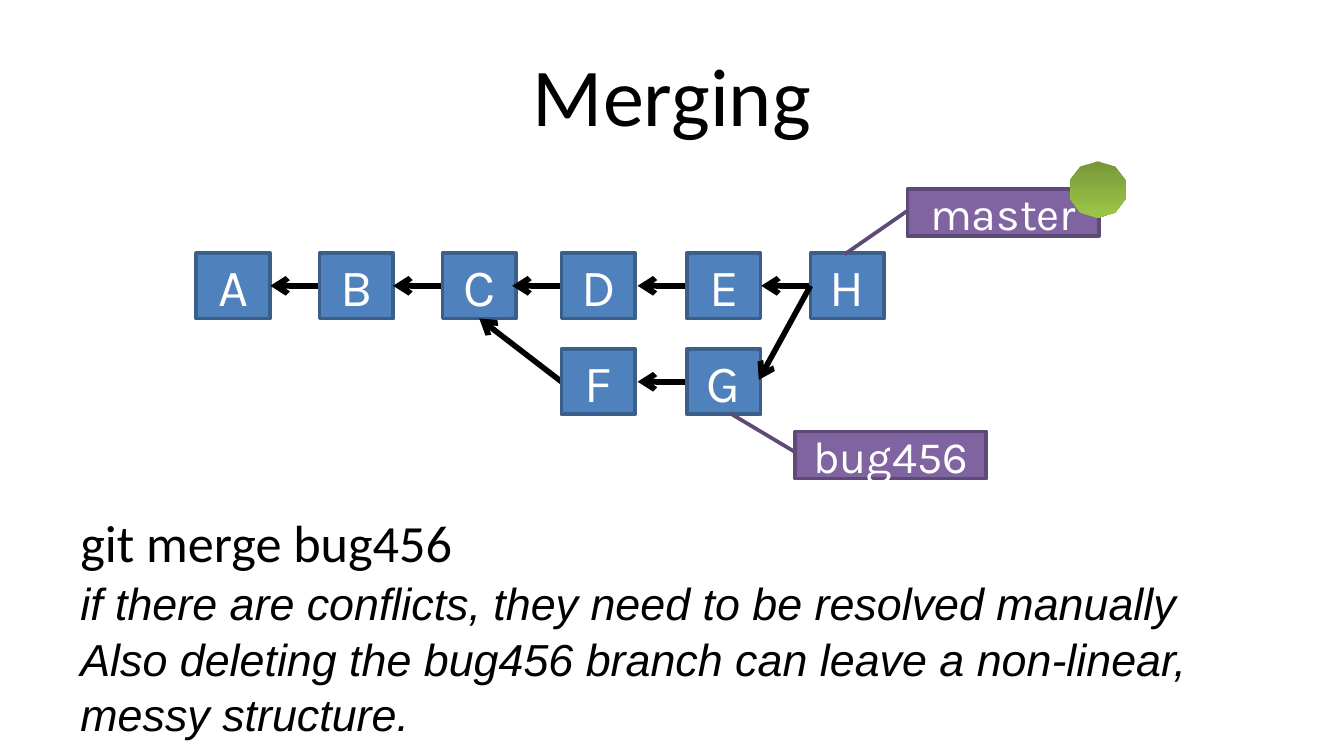
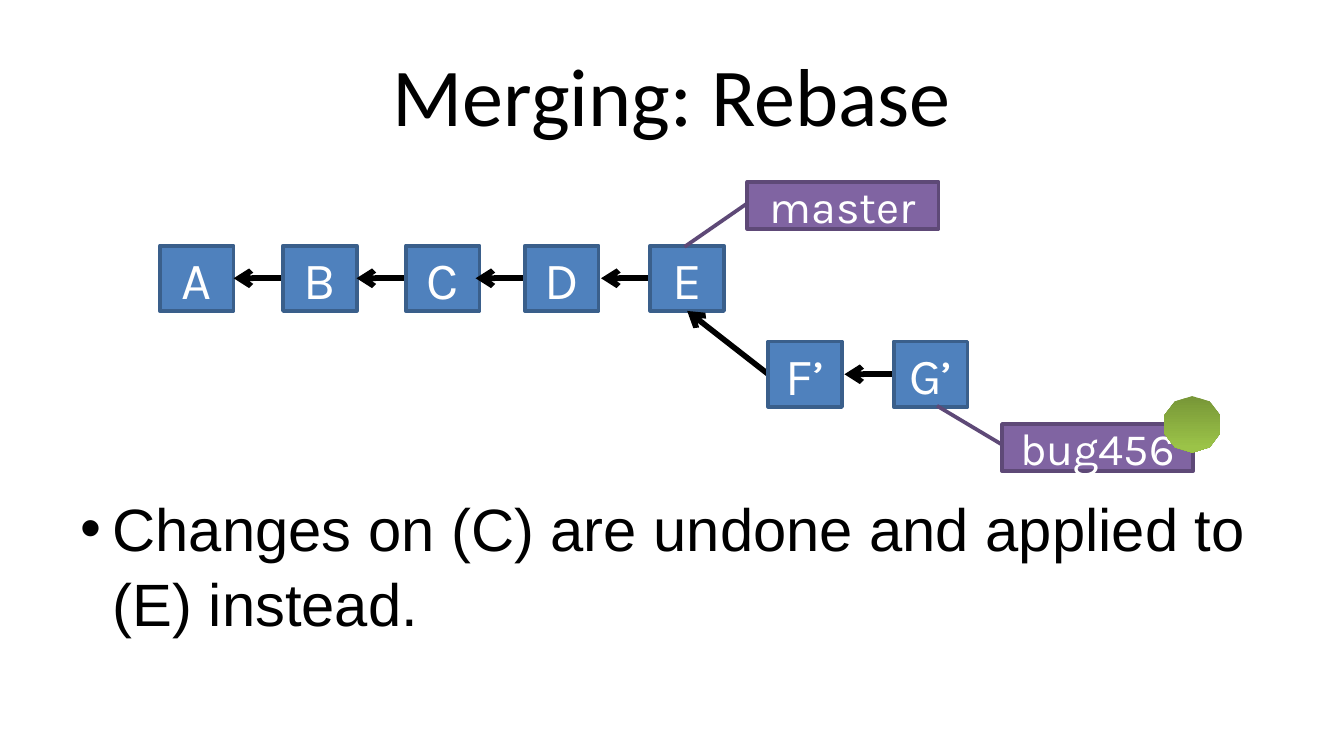
import pptx
import pptx.dml.color
import pptx.enum.dml
import pptx.enum.shapes
import pptx.enum.text
import pptx.oxml
import pptx.oxml.ns
import pptx.util
from lxml import etree

Pt = pptx.util.Pt
RGBColor = pptx.dml.color.RGBColor
SHAPE = pptx.enum.shapes.MSO_SHAPE
ALIGN = pptx.enum.text.PP_ALIGN
ANCHOR = pptx.enum.text.MSO_ANCHOR
qn = pptx.oxml.ns.qn

BLACK = RGBColor(0x00, 0x00, 0x00)
WHITE = RGBColor(0xFF, 0xFF, 0xFF)
BLUE = RGBColor(0x4F, 0x81, 0xBD)
BLUE_EDGE = RGBColor(0x3A, 0x5F, 0x8B)
PURPLE = RGBColor(0x80, 0x64, 0xA2)
PURPLE_EDGE = RGBColor(0x5E, 0x49, 0x77)
GREEN_DARK = RGBColor(0x77, 0x96, 0x37)
GREEN_LIGHT = RGBColor(0x9B, 0xC3, 0x48)

BOX_W, BOX_H = 39.5, 35
ARROW_LEN = 26.4
BRANCH_DROP = 51.4
BRANCH_STEP = 67.2
MAIN_STEPS = {"A": 0, "B": 66, "C": 131.8, "D": 195.6, "E": 262.8, "H": 329}
BULLET_INDENT = 17.3


def write(tf, text, size=28, font="Karla", color=BLACK, align=ALIGN.LEFT,
          italic=False, spacing=None, bullet=None):
    """Add one paragraph to the frame, filling the first one if it is empty."""
    first = tf.paragraphs[0]
    p = tf.add_paragraph() if first.runs else first
    p.alignment = align
    if spacing:
        p.line_spacing = spacing
    if bullet:
        pPr = p._p.get_or_add_pPr()
        pPr.set("marL", str(Pt(BULLET_INDENT)))
        pPr.set("indent", str(-Pt(BULLET_INDENT)))
        etree.SubElement(pPr, qn("a:buFont")).set("typeface", "Arial")
        etree.SubElement(pPr, qn("a:buChar")).set("char", bullet)
    r = p.add_run()
    r.text = text
    r.font.size = Pt(size)
    r.font.name = font
    r.font.italic = italic
    r.font.color.rgb = color


class Deck:
    """Style of the deck together with the slide being built."""

    def __init__(self):
        self.prs = pptx.Presentation()
        self.prs.slide_width = Pt(720)
        self.prs.slide_height = Pt(405)
        self.s = None

    def slide(self, title):
        self.s = self.prs.slides.add_slide(self.prs.slide_layouts[6])
        tf = self.text_box(16.6, 67.6, ANCHOR.MIDDLE)
        write(tf, title, size=44, font="Calibri", align=ALIGN.CENTER)

    def text_box(self, top, height, anchor=ANCHOR.TOP):
        tf = self.s.shapes.add_textbox(Pt(36), Pt(top), Pt(648), Pt(height)).text_frame
        tf.word_wrap = True
        tf.vertical_anchor = anchor
        return tf

    def shape(self, kind, x, y, w, h, adjustments=()):
        sp = self.s.shapes.add_shape(kind, Pt(x), Pt(y), Pt(w), Pt(h))
        sp.shadow.inherit = False
        for i, value in enumerate(adjustments):
            sp.adjustments[i] = value
        return sp

    def labelled(self, sp, text, size, fill, edge):
        sp.fill.solid()
        sp.fill.fore_color.rgb = fill
        sp.line.color.rgb = edge
        sp.line.width = Pt(2)
        sp.text_frame.word_wrap = True
        sp.text_frame.vertical_anchor = ANCHOR.MIDDLE
        write(sp.text_frame, text, size=size, color=WHITE, align=ALIGN.CENTER)

    def arrow(self, start, end):
        cn = self.s.shapes.add_connector(pptx.enum.shapes.MSO_CONNECTOR.STRAIGHT,
                                         *(Pt(v) for v in (*start, *end)))
        cn.line.color.rgb = BLACK
        cn.line.width = Pt(3)
        etree.SubElement(cn.line._get_or_add_ln(), qn("a:tailEnd")).set("type", "arrow")
        etree.SubElement(cn._element.spPr, qn("a:effectLst"))

    def commit(self, name, x, y, size=28, has_parent=True):
        """Draw a commit box, with an arrow to the commit on its left."""
        if has_parent:
            mid = y + BOX_H / 2
            self.arrow((x, mid), (x - ARROW_LEN, mid))
        sp = self.shape(SHAPE.RECTANGLE, x, y, BOX_W, BOX_H)
        self.labelled(sp, name, size, BLUE, BLUE_EDGE)
        return x, y

    def main_line(self, names, left, top):
        return {n: self.commit(n, left + MAIN_STEPS[n], top, has_parent=n != "A")
                for n in names}

    def branch(self, names, left, base, last_size=28):
        """Draw the two commits of a branch that starts at the base commit."""
        bx, by = base
        y = by + BRANCH_DROP
        self.arrow((left, y + BOX_H / 2), (bx + BOX_W / 2, by + BOX_H))
        self.commit(names[0], left, y, has_parent=False)
        return self.commit(names[1], left + BRANCH_STEP, y, last_size)

    def ref(self, name, commit, above, is_head=False):
        """Draw a branch label pointing at a commit, and the HEAD marker if asked."""
        dx, dy, end = (52, -34.2, (1.383, -0.329)) if above else (58, 44.2, (-0.389, -0.34))
        x, y = commit[0] + dx, commit[1] + dy
        sp = self.shape(SHAPE.LINE_CALLOUT_1, x, y, 102.4, 25.2, (0.446, 0.004, *end))
        self.labelled(sp, name, 24, PURPLE, PURPLE_EDGE)
        if is_head:
            self.head_marker(x + 86.8, y - 15)

    def head_marker(self, x, y):
        sp = self.shape(SHAPE.STAR_5_POINT, x, y, 30.2, 27.4, (1.106, 1.051, 1.106))
        sp.fill.gradient()
        sp.fill.gradient_angle = 270
        for stop, position, color in zip(sp.fill.gradient_stops, (0, 1),
                                         (GREEN_DARK, GREEN_LIGHT)):
            stop.position = position
            stop.color.rgb = color
        sp.line.fill.background()


def merging(deck):
    deck.slide("Merging")
    tf = deck.text_box(268.6, 92.9)
    write(tf, "git merge bug456", font="Calibri", spacing=1.04)
    for text in ("if there are conflicts, they need to be resolved manually",
                 "Also deleting the bug456 branch can leave a non-linear, messy structure."):
        write(tf, text, size=24, font="Arial", italic=True, spacing=1.04)
    commits = deck.main_line("ABCDEH", 105.2, 135.6)
    tip = deck.branch("FG", commits["D"][0], commits["C"])
    hx, hy = commits["H"]
    deck.arrow((hx, hy + BOX_H / 2), (tip[0] + BOX_W - 1, tip[1] + BOX_H / 2 - 1))
    deck.ref("master", commits["H"], above=True, is_head=True)
    deck.ref("bug456", tip, above=False)


def rebase(deck):
    deck.slide("Merging: Rebase")
    write(deck.text_box(258.5, 69), "Changes on (C) are undone and applied to (E) instead.",
          size=32, font="Arial", spacing=1.04, bullet="•")
    commits = deck.main_line("ABCDE", 85.6, 131.6)
    tip = deck.branch(("F’", "G’"), 411.6, commits["E"], last_size=27)
    deck.ref("master", commits["E"], above=True)
    deck.ref("bug456", tip, above=False, is_head=True)


def main():
    deck = Deck()
    merging(deck)
    rebase(deck)
    deck.prs.save("out.pptx")


if __name__ == "__main__":
    main()
